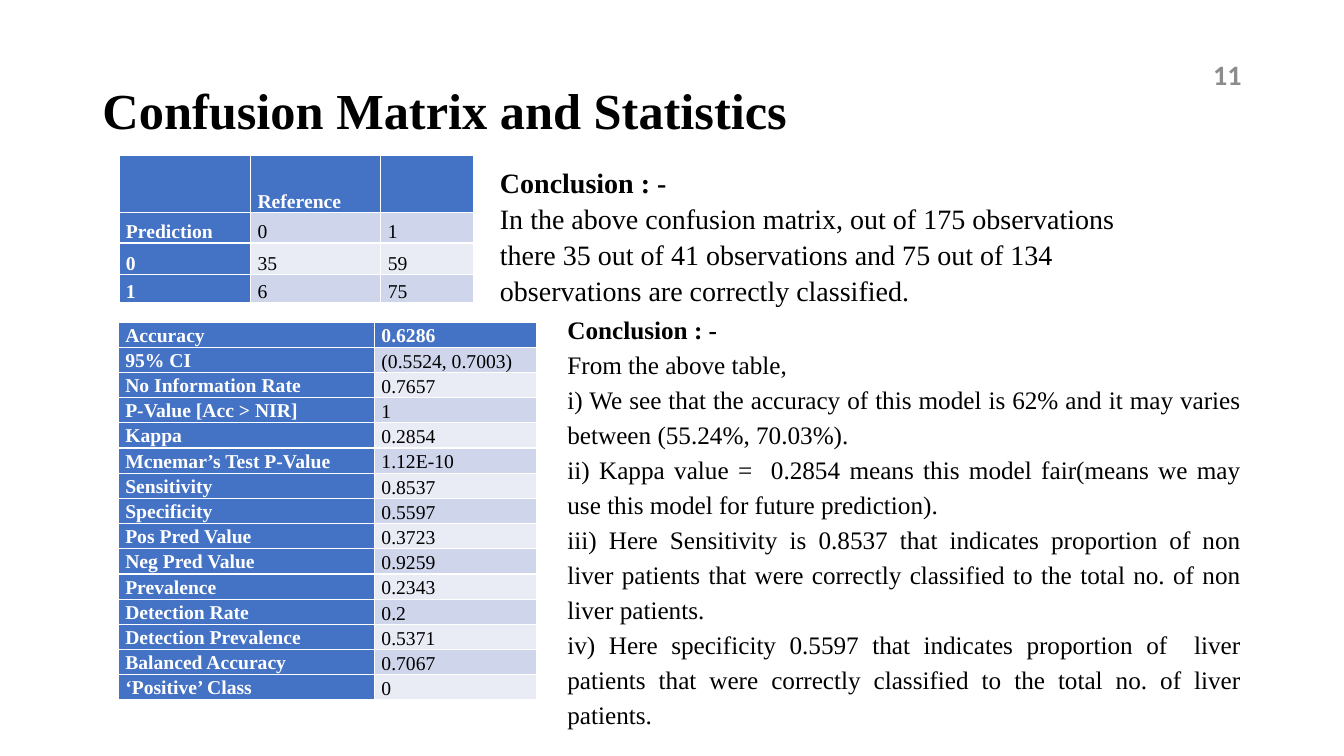
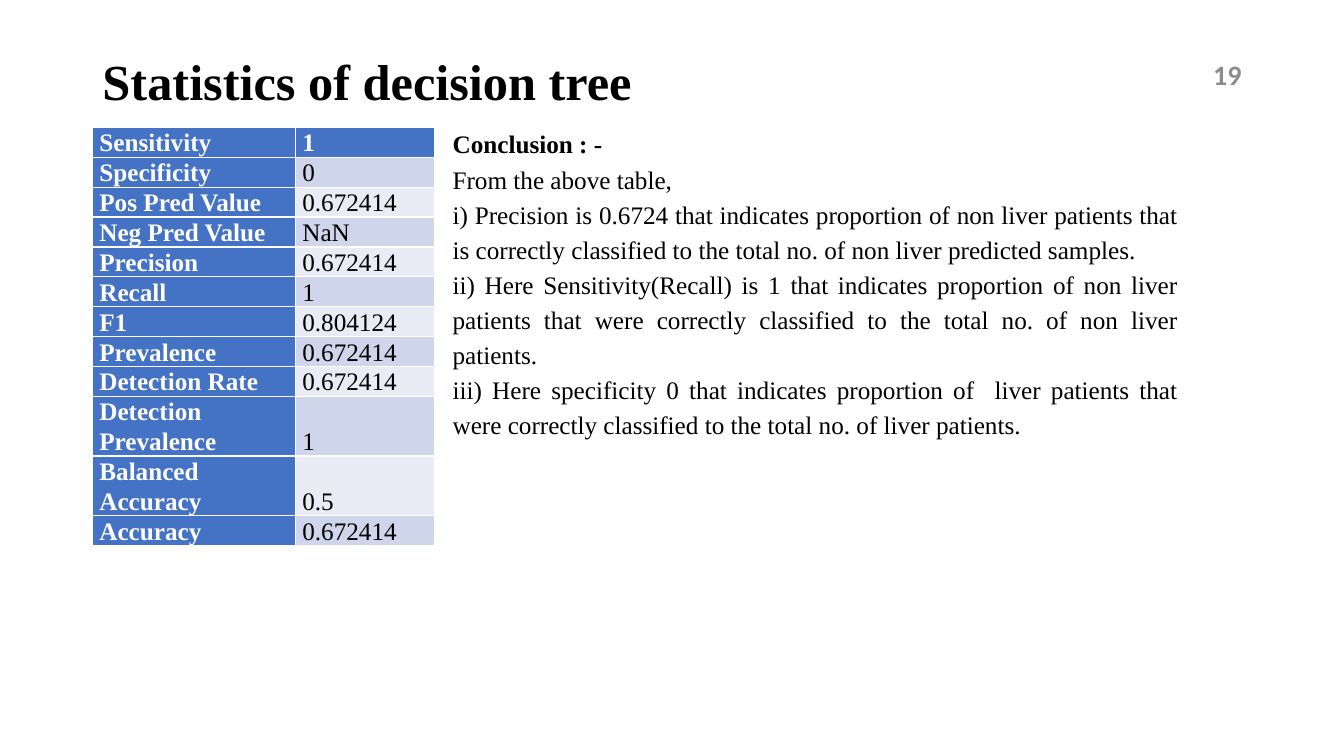
"""Build two slides of classification statistics with tables and conclusions."""
from dataclasses import dataclass

import pptx
import pptx.dml.color
import pptx.enum.text
import pptx.util

Pt = pptx.util.Pt
RGBColor = pptx.dml.color.RGBColor
Align = pptx.enum.text.PP_ALIGN
Anchor = pptx.enum.text.MSO_ANCHOR

BLACK = RGBColor(0x00, 0x00, 0x00)
WHITE = RGBColor(0xFF, 0xFF, 0xFF)
GREY = RGBColor(0x8C, 0x8C, 0x8C)
BLUE = RGBColor(0x44, 0x72, 0xC4)
BANDS = (RGBColor(0xE9, 0xEB, 0xF5), RGBColor(0xCF, 0xD5, 0xEA))

SERIF = "Times New Roman"
SANS = "Calibri"
TITLE_ONLY = 5
CONCLUSION = "Conclusion : -"
FROM_TABLE = "From the above table, "


@dataclass(frozen=True)
class Grid:
    left: float
    top: float
    columns: tuple[float, ...]
    heights: tuple[float, ...]
    size: float
    label_anchor: Anchor
    rows: tuple[tuple[str, ...], ...]


@dataclass(frozen=True)
class Note:
    left: float
    top: float
    width: float
    height: float
    size: float
    spacing: float
    align: Align
    lines: tuple[str, ...]


@dataclass(frozen=True)
class Page:
    title: str
    title_height: float
    number: str
    grids: tuple[Grid, ...]
    notes: tuple[Note, ...]


PAGES = (
    Page(
        "Confusion Matrix and Statistics", 104.4, "11",
        (
            Grid(85, 111, (94, 93, 66), (41, 21.6, 22.3, 20.2), 14, Anchor.BOTTOM, (
                ("", "Reference", ""),
                ("Prediction", "0", "1"),
                ("0", "35", "59"),
                ("1", "6", "75"),
            )),
            Grid(84.5, 230, (183, 116), (18,) * 15, 14, Anchor.MIDDLE, (
                ("Accuracy", "0.6286"),
                ("95% CI", "(0.5524, 0.7003)"),
                ("No Information Rate", "0.7657"),
                ("P-Value [Acc > NIR]", "1"),
                ("Kappa", "0.2854"),
                ("Mcnemar’s Test P-Value", "1.12E-10"),
                ("Sensitivity", "0.8537"),
                ("Specificity", "0.5597"),
                ("Pos Pred Value", "0.3723"),
                ("Neg Pred Value", "0.9259"),
                ("Prevalence", "0.2343"),
                ("Detection Rate", "0.2"),
                ("Detection Prevalence", "0.5371"),
                ("Balanced Accuracy", "0.7067"),
                ("‘Positive’ Class", "0"),
            )),
        ),
        (
            Note(350, 113, 480, 106, 20, 1.07, Align.LEFT, (
                CONCLUSION,
                "In the above confusion matrix, out of 175 observations there 35 out of 41 "
                "observations and 75 out of 134 observations are correctly classified.",
            )),
            Note(398.2, 217.5, 495.4, 263, 18, 1.16, Align.JUSTIFY, (
                CONCLUSION,
                FROM_TABLE,
                "i) We see that the accuracy of this model is 62% and it may varies between "
                "(55.24%, 70.03%). ",
                "ii) Kappa value =  0.2854 means this model fair(means we may use this model "
                "for future prediction).",
                "iii) Here Sensitivity is 0.8537 that indicates proportion of non liver patients "
                "that were correctly classified to the total no. of non liver patients. ",
                "iv) Here specificity 0.5597 that indicates proportion of  liver patients that "
                "were correctly classified to the total no. of liver patients.",
            )),
        ),
    ),
    Page(
        "Statistics of decision tree", 62, "19",
        (
            Grid(66, 91, (145, 99.5), (21.3,) * 9 + (42.6,) * 2 + (21.3,), 18, Anchor.MIDDLE, (
                ("Sensitivity", "1"),
                ("Specificity", "0"),
                ("Pos Pred Value", "0.672414"),
                ("Neg Pred Value", "NaN"),
                ("Precision", "0.672414"),
                ("Recall", "1"),
                ("F1", "0.804124"),
                ("Prevalence", "0.672414"),
                ("Detection Rate", "0.672414"),
                ("Detection Prevalence", "1"),
                ("Balanced Accuracy", "0.5"),
                ("Accuracy", "0.672414"),
            )),
        ),
        (
            Note(316.2, 85, 532.5, 193, 18, 1.16, Align.JUSTIFY, (
                CONCLUSION,
                FROM_TABLE,
                "i) Precision is 0.6724 that indicates proportion of non liver patients that is "
                "correctly classified to the total no. of non liver predicted samples.",
                "ii) Here Sensitivity(Recall) is 1 that indicates proportion of non liver patients "
                "that were correctly classified to the total no. of non liver patients. ",
                "iii) Here specificity 0 that indicates proportion of  liver patients that were "
                "correctly classified to the total no. of liver patients.",
            )),
        ),
    ),
)


def add_span(para, text: str, size: float, color: RGBColor, bold: bool, face: str = SERIF) -> None:
    """Add one formatted run to a paragraph."""
    span = para.add_run()
    span.text = text
    span.font.name = face
    span.font.size = Pt(size)
    span.font.bold = bold
    span.font.color.rgb = color


def add_title(slide, page: Page) -> None:
    """Place and fill the title placeholder."""
    title = slide.shapes.title
    title.left, title.top = Pt(66), Pt(28.8)
    title.width, title.height = Pt(828), Pt(page.title_height)
    frame = title.text_frame
    frame.auto_size = pptx.enum.text.MSO_AUTO_SIZE.NONE
    frame.vertical_anchor = Anchor.MIDDLE
    para = frame.paragraphs[0]
    para.alignment = Align.LEFT
    para.line_spacing = 0.9
    add_span(para, page.title, 36, BLACK, True)


def add_number(slide, number: str) -> None:
    """Write the page number at the top right."""
    box = slide.shapes.add_textbox(Pt(678), Pt(39), Pt(216), Pt(28.8))
    box.text_frame.word_wrap = True
    box.text_frame.vertical_anchor = Anchor.MIDDLE
    para = box.text_frame.paragraphs[0]
    para.alignment = Align.RIGHT
    add_span(para, number, 20, GREY, True, SANS)


def add_grid(slide, grid: Grid) -> None:
    """Draw a table with a blue header row and label column over banded values."""
    table = slide.shapes.add_table(
        len(grid.rows), len(grid.columns), Pt(grid.left), Pt(grid.top),
        Pt(sum(grid.columns)), Pt(sum(grid.heights)),
    ).table
    table.first_col = True
    for column, width in zip(table.columns, grid.columns):
        column.width = Pt(width)
    for row, height in zip(table.rows, grid.heights):
        row.height = Pt(height)
    for row_index, texts in enumerate(grid.rows):
        for column_index, text in enumerate(texts):
            heading = row_index == 0 or column_index == 0
            cell = table.cell(row_index, column_index)
            cell.fill.solid()
            cell.fill.fore_color.rgb = BLUE if heading else BANDS[row_index % 2]
            cell.margin_left = cell.margin_right = Pt(5)
            cell.margin_top = cell.margin_bottom = Pt(0)
            cell.vertical_anchor = Anchor.BOTTOM if column_index else grid.label_anchor
            if text:
                para = cell.text_frame.paragraphs[0]
                para.alignment = Align.JUSTIFY
                para.line_spacing = 1.07
                add_span(para, text, grid.size, WHITE if heading else BLACK, heading)


def add_note(slide, note: Note) -> None:
    """Write a conclusion whose first line is bold."""
    box = slide.shapes.add_textbox(Pt(note.left), Pt(note.top), Pt(note.width), Pt(note.height))
    frame = box.text_frame
    frame.word_wrap = True
    for index, line in enumerate(note.lines):
        para = frame.add_paragraph() if index else frame.paragraphs[0]
        para.alignment = note.align
        para.line_spacing = note.spacing
        add_span(para, line, note.size, BLACK, index == 0)


def main() -> None:
    """Build and save the deck."""
    deck = pptx.Presentation()
    deck.slide_width, deck.slide_height = Pt(960), Pt(540)
    for page in PAGES:
        slide = deck.slides.add_slide(deck.slide_layouts[TITLE_ONLY])
        add_title(slide, page)
        for grid in page.grids:
            add_grid(slide, grid)
        for note in page.notes:
            add_note(slide, note)
        add_number(slide, page.number)
    deck.save("out.pptx")


if __name__ == "__main__":
    main()
